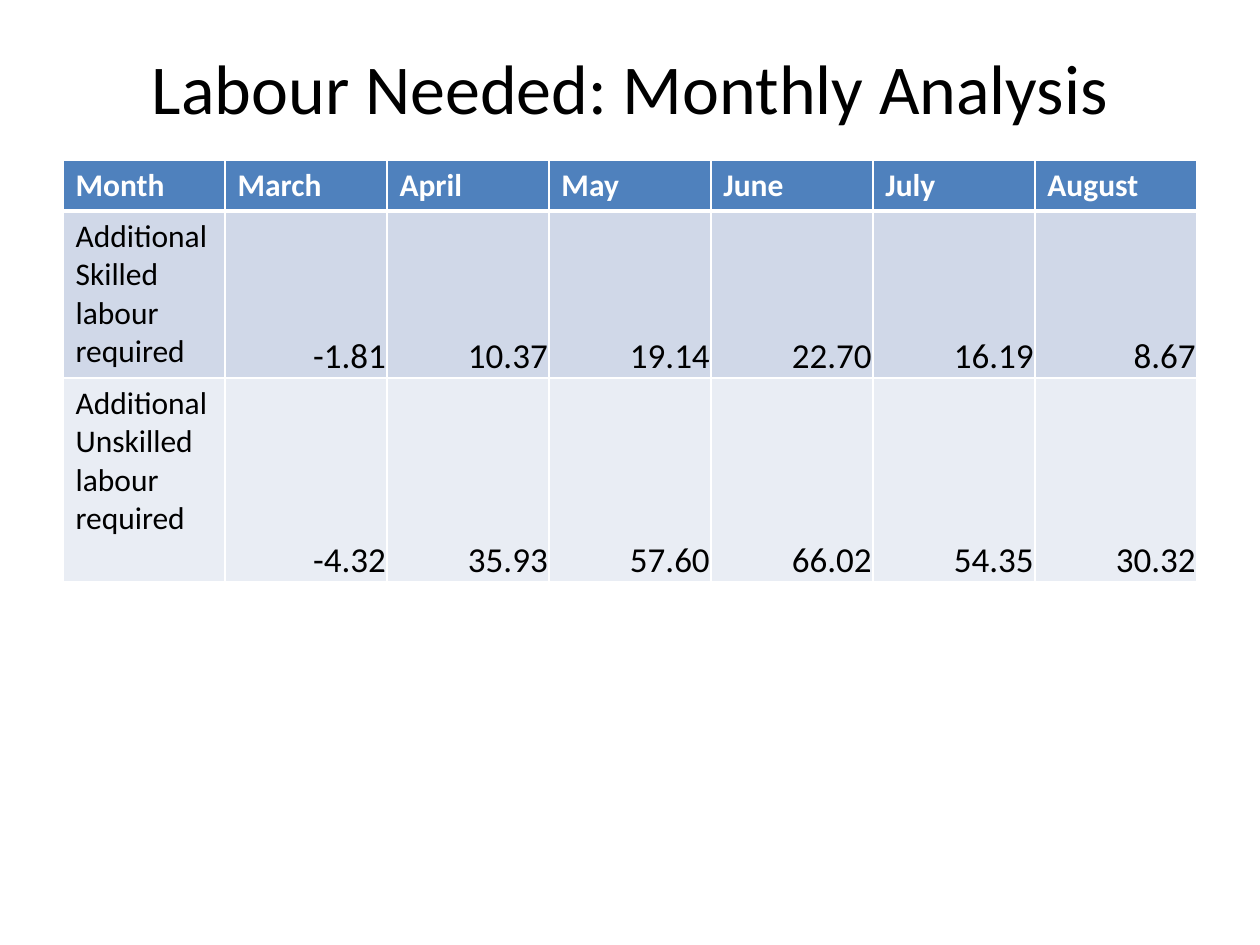
from lxml.etree import SubElement
from pptx import Presentation
from pptx.dml.color import RGBColor
from pptx.enum.text import MSO_ANCHOR, PP_ALIGN
from pptx.oxml.ns import qn
from pptx.util import Pt

TITLE = "Labour Needed: Monthly Analysis"
MONTHS = ["Month", "March", "April", "May", "June", "July", "August"]
LABOUR = [
    (["Additional ", "Skilled labour required"],
     ["-1.81", "10.37", "19.14", "22.70", "16.19", "8.67"]),
    (["Additional ", "Unskilled labour required"],
     ["-4.32", "35.93", "57.60", "66.02", "54.35", "30.32"]),
]

BLACK = RGBColor(0x00, 0x00, 0x00)
WHITE = RGBColor(0xFF, 0xFF, 0xFF)
HEADER_BLUE = RGBColor(0x4F, 0x81, 0xBD)
BANDS = [RGBColor(0xD0, 0xD8, 0xE8), RGBColor(0xE9, 0xED, 0xF4)]

FONT = "Calibri"
PX = 914400 // 126
LEFT, WIDTH = 63, 1134
TITLE_TOP, TITLE_HEIGHT = 38, 98
TABLE_TOP = 160
ROW_HEIGHTS = [51, 167, 204]
VALUE_INSET = 1


def write(frame, lines, size, color, bold=False, align=PP_ALIGN.LEFT):
    for index, line in enumerate(lines):
        paragraph = frame.add_paragraph() if index else frame.paragraphs[0]
        paragraph.alignment = align
        run = paragraph.add_run()
        run.text = line
        run.font.name = FONT
        run.font.size = Pt(size)
        run.font.bold = bold
        run.font.color.rgb = color


def style_cell(cell, fill, top, bottom):
    properties = cell._tc.get_or_add_tcPr()
    for side, points in (("L", 1), ("R", 1), ("T", top), ("B", bottom)):
        border = SubElement(properties, qn(f"a:ln{side}"), w=str(Pt(points)))
        solid = SubElement(border, qn("a:solidFill"))
        SubElement(solid, qn("a:srgbClr"), val=str(WHITE))
    cell.fill.solid()
    cell.fill.fore_color.rgb = fill


presentation = Presentation()
presentation.slide_width = 1260 * PX
presentation.slide_height = 945 * PX
slide = presentation.slides.add_slide(presentation.slide_layouts[6])

title = slide.shapes.add_textbox(
    LEFT * PX, TITLE_TOP * PX, WIDTH * PX, TITLE_HEIGHT * PX).text_frame
title.word_wrap = True
title.vertical_anchor = MSO_ANCHOR.MIDDLE
write(title, [TITLE], 40, BLACK, align=PP_ALIGN.CENTER)

table = slide.shapes.add_table(
    len(ROW_HEIGHTS), len(MONTHS), LEFT * PX, TABLE_TOP * PX,
    WIDTH * PX, sum(ROW_HEIGHTS) * PX).table
for column in table.columns:
    column.width = WIDTH // len(MONTHS) * PX
for row, height in zip(table.rows, ROW_HEIGHTS):
    row.height = height * PX

for column, month in enumerate(MONTHS):
    header = table.cell(0, column)
    style_cell(header, HEADER_BLUE, 1, 3)
    write(header.text_frame, [month], 18, WHITE, bold=True)

for row, ((label, values), band) in enumerate(zip(LABOUR, BANDS), 1):
    top = 3 if row == 1 else 1
    label_cell = table.cell(row, 0)
    style_cell(label_cell, band, top, 1)
    write(label_cell.text_frame, label, 18, BLACK)
    for column, value in enumerate(values, 1):
        value_cell = table.cell(row, column)
        style_cell(value_cell, band, top, 1)
        value_cell.vertical_anchor = MSO_ANCHOR.BOTTOM
        value_cell.margin_left = value_cell.margin_right = VALUE_INSET * PX
        value_cell.margin_top = VALUE_INSET * PX
        value_cell.margin_bottom = 0
        write(value_cell.text_frame, [value], 20, BLACK, align=PP_ALIGN.RIGHT)

presentation.save("out.pptx")
